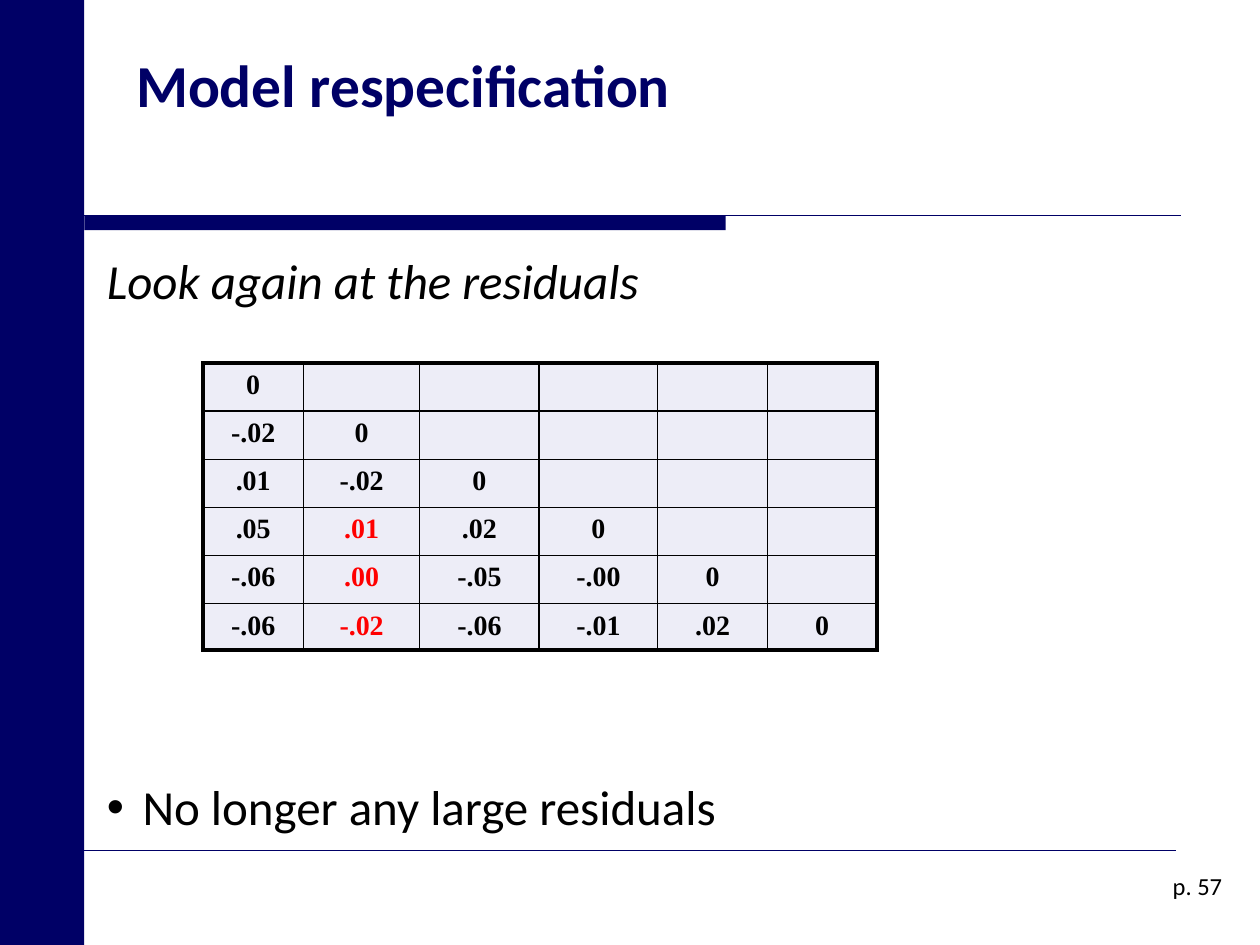
import pptx
import pptx.dml.color
import pptx.enum.shapes
import pptx.enum.text
import pptx.oxml
import pptx.oxml.ns
import pptx.util
from lxml import etree

Cm = pptx.util.Cm
Pt = pptx.util.Pt
ALIGN = pptx.enum.text.PP_ALIGN
ANCHOR = pptx.enum.text.MSO_ANCHOR

TITLE = "Model respecification"
SUBTITLE = "Look again at the residuals"
CONCLUSION = "No longer any large residuals"
PAGE_NUMBER = "p. 57"
RESIDUALS = [
    ["0"],
    ["-.02", "0"],
    [".01", "-.02", "0"],
    [".05", ".01", ".02", "0"],
    ["-.06", ".00", "-.05", "-.00", "0"],
    ["-.06", "-.02", "-.06", "-.01", ".02", "0"],
]
HIGHLIGHTED = {(3, 1), (4, 1), (5, 1)}

COLORS = {
    "navy": "000066",
    "black": "000000",
    "red": "FF0000",
    "cell": "EDEDF7",
}
COLUMN_WIDTHS = [2.03, 2.34, 2.41, 2.39, 2.21, 2.21]
ROW_HEIGHTS = [0.97] * 5 + [0.89]
SIDEBAR_WIDTH = 1.7
RULE_TOP = 4.34


def rgb(name):
    return pptx.dml.color.RGBColor.from_string(COLORS[name])


def style(paragraph, size, color="black", font="Calibri", bold=False, italic=False):
    paragraph.font.size = Pt(size)
    paragraph.font.name = font
    paragraph.font.color.rgb = rgb(color)
    paragraph.font.bold = bold
    paragraph.font.italic = italic


def place(shape, left, top, width, height):
    shape.left, shape.top = Cm(left), Cm(top)
    shape.width, shape.height = Cm(width), Cm(height)


def add_bar(slide, left, top, width, height):
    bar = slide.shapes.add_shape(
        pptx.enum.shapes.MSO_SHAPE.RECTANGLE, Cm(left), Cm(top), Cm(width), Cm(height)
    )
    bar.shadow.inherit = False
    bar.fill.solid()
    bar.fill.fore_color.rgb = rgb("navy")
    bar.line.fill.background()


def add_rule(slide, top, right, weight):
    rule = slide.shapes.add_connector(
        pptx.enum.shapes.MSO_CONNECTOR.STRAIGHT,
        Cm(SIDEBAR_WIDTH), Cm(top), Cm(right), Cm(top),
    )
    rule.line.color.rgb = rgb("navy")
    rule.line.width = Pt(weight)
    etree.SubElement(rule._element.spPr, pptx.oxml.ns.qn("a:effectLst"))


def set_bullet(paragraph, character, indent):
    properties = paragraph._p.get_or_add_pPr()
    properties.set("marL", str(Cm(indent)))
    properties.set("indent", str(-Cm(indent)))
    bullet = "a:buChar" if character else "a:buNone"
    element = pptx.oxml.parse_xml(f"<{bullet} {pptx.oxml.ns.nsdecls('a')}/>")
    if character:
        element.set("char", character)
    properties.append(element)


def set_borders(cell, weights):
    properties = cell._tc.get_or_add_tcPr()
    for position, (side, weight) in enumerate(weights.items()):
        border = pptx.oxml.parse_xml(
            f"<a:{side} {pptx.oxml.ns.nsdecls('a')} w=\"{Pt(weight)}\"><a:solidFill>"
            f"<a:srgbClr val=\"{COLORS['black']}\"/></a:solidFill></a:{side}>"
        )
        properties.insert(position, border)


def add_residuals(slide):
    rows, columns = len(ROW_HEIGHTS), len(COLUMN_WIDTHS)
    table = slide.shapes.add_table(
        rows, columns, Cm(4.09), Cm(7.32), Cm(sum(COLUMN_WIDTHS)), Cm(sum(ROW_HEIGHTS))
    ).table
    for column, width in zip(table.columns, COLUMN_WIDTHS):
        column.width = Cm(width)
    for i, height in enumerate(ROW_HEIGHTS):
        table.rows[i].height = Cm(height)
        for j in range(columns):
            cell = table.cell(i, j)
            cell.fill.solid()
            cell.fill.fore_color.rgb = rgb("cell")
            if j < len(RESIDUALS[i]):
                cell.text = RESIDUALS[i][j]
            paragraph = cell.text_frame.paragraphs[0]
            paragraph.alignment = ALIGN.CENTER
            color = "red" if (i, j) in HIGHLIGHTED else "black"
            style(paragraph, 16, color, "Times New Roman", bold=True)
            outer = {"lnL": j == 0, "lnR": j == columns - 1,
                     "lnT": i == 0, "lnB": i == rows - 1}
            set_borders(cell, {side: 2.25 if edge else 1 for side, edge in outer.items()})


def main():
    presentation = pptx.Presentation()
    presentation.slide_width, presentation.slide_height = Cm(25.4), Cm(19.05)
    slide = presentation.slides.add_slide(presentation.slide_layouts[1])

    add_bar(slide, 0, 0, SIDEBAR_WIDTH, 19.05)
    add_bar(slide, SIDEBAR_WIDTH, RULE_TOP, 12.93, 0.3)
    add_rule(slide, RULE_TOP, 23.8, 0.75)
    add_rule(slide, 17.15, 23.7, 0.25)

    title, body = slide.placeholders
    place(title, 2.49, 0.84, 19.53, 3.38)
    title.text_frame.text = TITLE
    title.text_frame.vertical_anchor = ANCHOR.TOP
    title.text_frame.paragraphs[0].alignment = ALIGN.LEFT
    style(title.text_frame.paragraphs[0], 34, "navy", bold=True)

    place(body, 1.9, 4.93, 23.19, 12.2)
    body.text_frame.text = f"{SUBTITLE}\n{CONCLUSION}"
    for frame in (title.text_frame, body.text_frame):
        frame.auto_size = pptx.enum.text.MSO_AUTO_SIZE.NONE
    subtitle, conclusion = body.text_frame.paragraphs
    subtitle.space_before = Pt(0)
    conclusion.space_before = Pt(267)
    set_bullet(subtitle, None, 0)
    set_bullet(conclusion, "•", 0.72)
    style(subtitle, 28, italic=True)
    style(conclusion, 28)

    page = slide.shapes.add_textbox(Cm(19.61), Cm(17.12), Cm(5.28), Cm(1.47))
    page.text_frame.word_wrap = True
    page.text_frame.vertical_anchor = ANCHOR.MIDDLE
    page.text_frame.text = PAGE_NUMBER
    page.text_frame.paragraphs[0].alignment = ALIGN.RIGHT
    style(page.text_frame.paragraphs[0], 14)

    add_residuals(slide)
    presentation.save("out.pptx")


if __name__ == "__main__":
    main()
